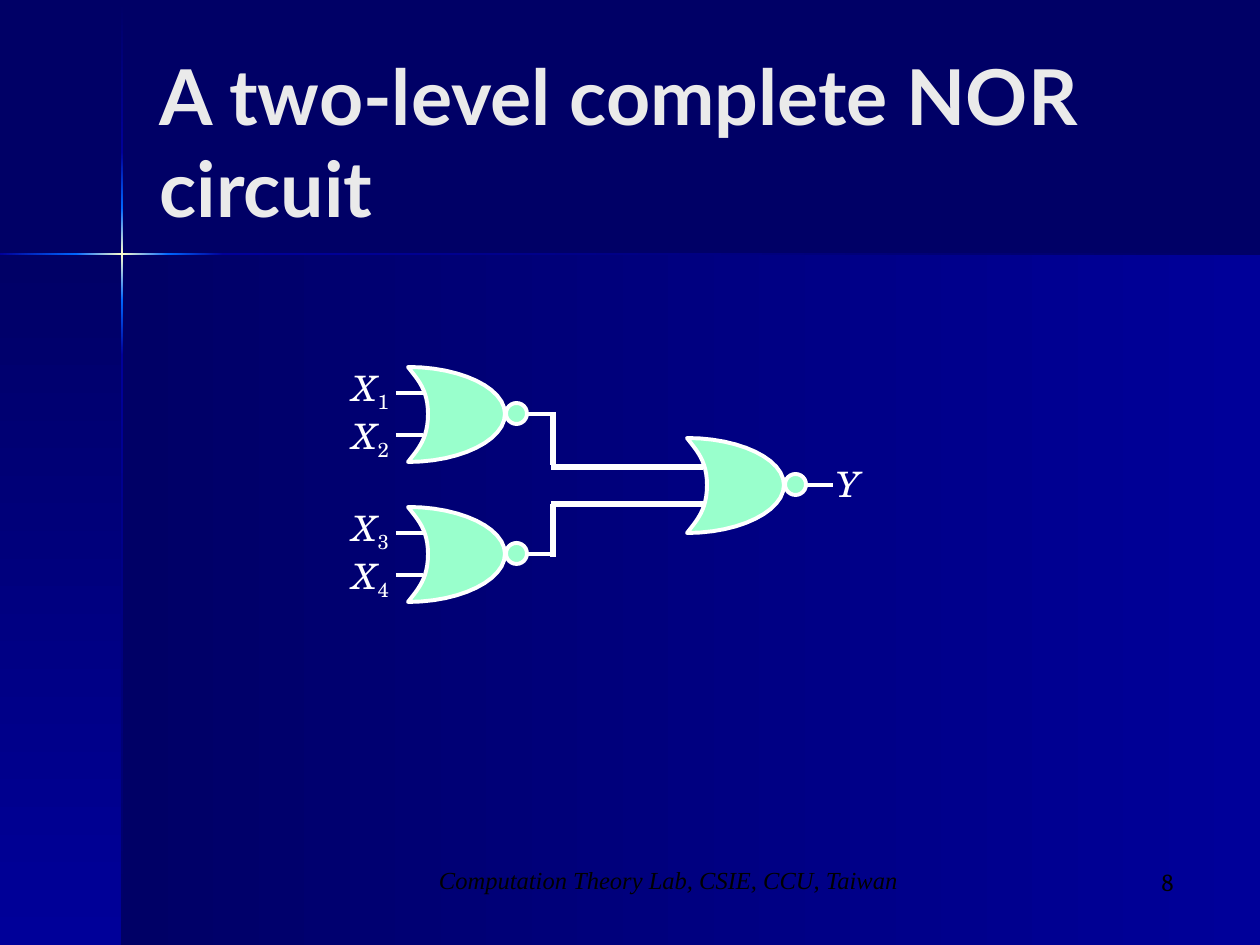
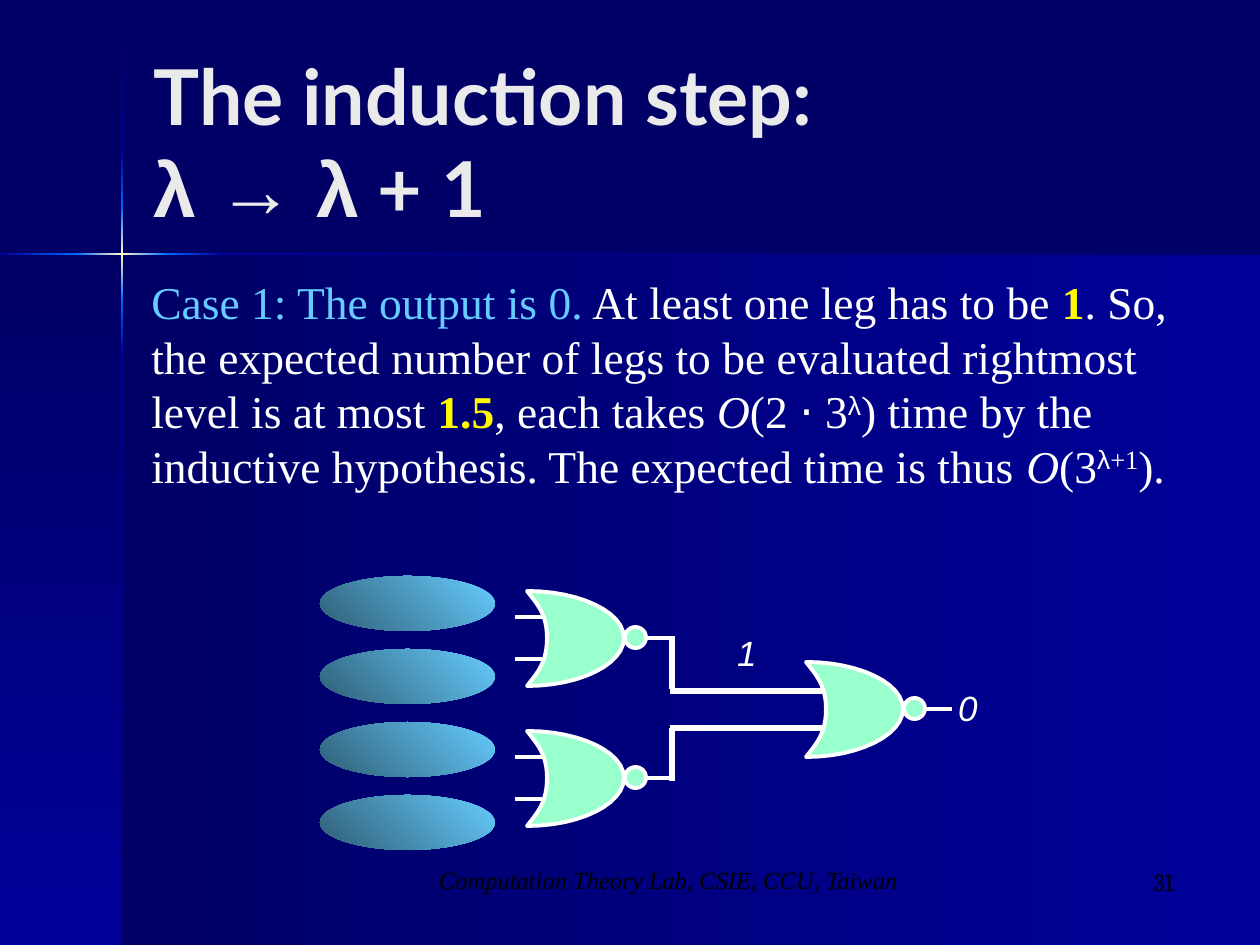
from pptx import Presentation
from pptx.dml.color import RGBColor
from pptx.enum.shapes import MSO_CONNECTOR as Link, MSO_SHAPE as Kind
from pptx.enum.text import MSO_ANCHOR as Anchor, MSO_AUTO_SIZE as Auto, PP_ALIGN as Align
from pptx.oxml.ns import qn
from pptx.util import Emu, Pt
from lxml.etree import SubElement

SCALE = 914400 / 126
WIDE, HIGH = 1260, 945

HUES = {
    "dark": "000066", "mid": "000099", "bright": "0066FF", "glow": "FFFFCC",
    "title": "EAEAEA", "white": "FFFFFF", "black": "000000", "mint": "99FFCC",
    "sky": "66CCFF", "shade": "2F5E75", "yellow": "FFFA00",
}
LATO, TIMES, ARIAL = "Lato", "Times New Roman", "Arial"
SCHOLA, CAMBRIA = "TeX Gyre Schola", "Cambria"

# Run styles
ITAL = {"ital": True}
SUB = {"ital": False, "base": -25}
SUP = {"base": 30}
GREEK = {"font": ARIAL}
POWER = GREEK | SUP
KEY = {"hue": "yellow", "bold": True}

# Shared frame: a cross of light between two panels
CROSS = (122, 255)
FADES = [("dark", "mid"), ("mid", "bright"), ("bright", "glow", "bright"),
         ("bright", "mid"), ("mid", "dark")]
DOWN = [1, 152, 208, 300, 355, HIGH]
ALONG = [0, 76, 168, 223, WIDE]
FOOT = "Computation Theory Lab, CSIE, CCU, Taiwan"

# Gate outline and the places of parts, relative to the gate's top left
CURVES = [
    [(0, 0), (10, 13), (20, 23), (20, 47)],
    [(20, 47), (20, 72), (10, 82), (0, 95)],
    [(0, 95), (53, 95), (97, 73), (97, 47)],
    [(97, 47), (97, 21), (53, 0), (0, 0)],
]
STEPS = 12
DROP = 140
LAST = (279, 71)
BENDS = [(145, 45, 145, 98), (143, 100, 295, 100),
         (143, 137, 295, 137), (145, 137, 145, 190)]

NOR = {
    "title": ["A two-level complete NOR circuit"], "left": 147, "page": "8",
    "at": (408, 367), "out": "Y", "font": SCHOLA,
    "pairs": [("1", "2"), ("3", "4")],
}
STEP = {
    "title": ["The induction step: ", "\n", ("λ → λ", GREEK), " + 1"],
    "left": 141, "page": "31",
    "at": (527, 591), "out": "0", "font": ARIAL, "pairs": [],
}
CASE = [
    ("Case 1: The output is 0.", {"hue": "sky"}), " At least one leg has to be ",
    ("1", KEY), ". So, the expected number of legs to be evaluated rightmost level is at most ",
    ("1.5", KEY), ", each takes ", ("O", ITAL), "(2 ", ("⋅", GREEK), " 3", ("λ", POWER),
    ") time by the inductive hypothesis. The expected time is thus ",
    ("O", ITAL), "(3", ("λ", POWER), ("+1", SUP), ").",
]


def px(*vals):
    return [Emu(round(v * SCALE)) for v in vals]


def tint(hue):
    return RGBColor.from_string(HUES[hue])


def style(run, font, size, hue, bold=False, ital=False, base=0):
    face = run.font
    face.name, face.size, face.bold, face.italic = font, Pt(size), bold, ital
    face.color.rgb = tint(hue)
    if base:
        run._r.get_or_add_rPr().set("baseline", str(base * 1000))


def write(shape, *paras, align=Align.LEFT, anchor=Anchor.TOP, wrap=True, gap=None, **form):
    """Fill a shape; each paragraph is a list of strings or (string, style) pairs."""
    frame = shape.text_frame
    frame.auto_size, frame.word_wrap, frame.vertical_anchor = Auto.NONE, wrap, anchor
    for n, runs in enumerate(paras):
        para = frame.add_paragraph() if n else frame.paragraphs[0]
        para.alignment = align
        if gap:
            para.line_spacing = gap
        for part in runs:
            if part == "\n":
                para.add_line_break()
                continue
            words, extra = (part, {}) if isinstance(part, str) else part
            run = para.add_run()
            run.text = words
            style(run, **(form | extra))


def label(slide, box, *paras, **form):
    write(slide.shapes.add_textbox(*px(*box)), *paras, **form)


def tag(slide, box, *paras, font):
    label(slide, box, *paras, font=font, size=20, hue="white", wrap=False,
          align=Align.CENTER, anchor=Anchor.MIDDLE)


def fade(slide, kind, box, hues, angle):
    """Add a shape with an even gradient; the angle runs clockwise."""
    shape = slide.shapes.add_shape(kind, *px(*box))
    shape.shadow.inherit = False
    shape.line.fill.background()
    shape.fill.gradient()
    shape.fill.gradient_angle = -angle % 360
    stops = next(shape.element.iter(qn("a:gsLst")))
    for old in list(stops):
        stops.remove(old)
    for n, hue in enumerate(hues):
        stop = SubElement(stops, qn("a:gs"), pos=str(n * 100000 // (len(hues) - 1)))
        SubElement(stop, qn("a:srgbClr"), val=HUES[hue])
    return shape


def frame(slide, layout):
    """Draw the panels and the cross of light, then hand them to the layout."""
    x, y = CROSS
    panel = ("dark", "mid")
    parts = [((x, y, WIDE - x, HIGH - y), panel, 0), ((0, y, x, HIGH - y), panel, 90)]
    parts += [((x - 1, a, 2, b - a), hues, 90) for a, b, hues in zip(DOWN, DOWN[1:], FADES)]
    parts += [((a, y - 2, b - a, 2), hues, 0)
              for a, b, hues in zip(ALONG, ALONG[1:], FADES[1:])]
    tree = layout.element.cSld.spTree
    for part in parts:
        tree.append(fade(slide, Kind.RECTANGLE, *part).element)


def wire(slide, x, y, ends, width=2.25):
    x1, y1, x2, y2 = ends
    line = slide.shapes.add_connector(Link.STRAIGHT, *px(x + x1, y + y1, x + x2, y + y2))
    line.line.color.rgb, line.line.width = tint("white"), Pt(width)
    SubElement(line.element.spPr, qn("a:effectLst"))


def paint(shape):
    shape.shadow.inherit = False
    shape.fill.solid()
    shape.fill.fore_color.rgb = tint("mint")
    shape.line.color.rgb, shape.line.width = tint("white"), Pt(2.25)


def bend(a, b, c, d):
    """Points along one cubic curve, without its start."""
    for n in range(1, STEPS + 1):
        t = n / STEPS
        u = 1 - t
        yield [u**3 * p + 3 * u * u * t * q + 3 * u * t * t * r + t**3 * s
               for p, q, r, s in zip(a, b, c, d)]


def gate(slide, x, y, inputs=True):
    pen = slide.shapes.build_freeform(*px(x, y))
    pen.add_line_segments([px(x + i, y + j) for curve in CURVES for i, j in bend(*curve)])
    paint(pen.convert_to_shape())
    wire(slide, x, y, (97, 47, 146, 47))
    for row in (26, 68) if inputs else ():
        wire(slide, x, y, (-12, row, 15, row))
    paint(slide.shapes.add_shape(Kind.OVAL, *px(x + 98, y + 36, 21, 21)))


def circuit(slide, at, out, font, pairs):
    x, y = at
    for drop in (0, DROP):
        gate(slide, x, y + drop)
    for n, pair in enumerate(pairs):
        tag(slide, (x - 67, y - 7 + n * DROP, 60, 108),
            *[[("X", ITAL), (num, SUB)] for num in pair], font=font)
    end, top = x + LAST[0], y + LAST[1]
    gate(slide, end, top, inputs=False)
    tag(slide, (end + 138, top + 18, 48, 55), [(out, ITAL)], font=font)
    for ends in BENDS:
        wire(slide, x, y, ends, 3)


def start(deck, layout, title, left, page, **plan):
    slide = deck.slides.add_slide(layout)
    head = slide.shapes.title
    head.left, head.top, head.width, head.height = px(left, 42, 1040, 198)
    write(head, title, font=LATO, size=44, hue="title", bold=True, anchor=Anchor.MIDDLE)
    circuit(slide, **plan)
    label(slide, (394, 859, 549, 63), [FOOT], font=TIMES, size=14, hue="black",
          ital=True, align=Align.CENTER)
    label(slide, (924, 861, 262, 63), [page], font=CAMBRIA, size=14, hue="black",
          align=Align.RIGHT)
    return slide


def main():
    deck = Presentation()
    deck.slide_width, deck.slide_height = px(WIDE, HIGH)
    back = deck.slide_master.background.fill
    back.solid()
    back.fore_color.rgb = tint("dark")
    layout = deck.slide_layouts[5]

    first = start(deck, layout, **NOR)
    frame(first, layout)

    second = start(deck, layout, **STEP)
    x, y = STEP["at"]
    tag(second, (x + 198, y + 34, 44, 55), [("1", ITAL)], font=ARIAL)
    for n in range(4):
        fade(second, Kind.OVAL, (320, 576 + 73 * n, 175, 55), ("sky", "shade"), 135)
    label(second, (139, 268, 1079, 232), CASE, font=TIMES, size=26, hue="white", gap=Pt(31.2))
    deck.save("out.pptx")


if __name__ == "__main__":
    main()
